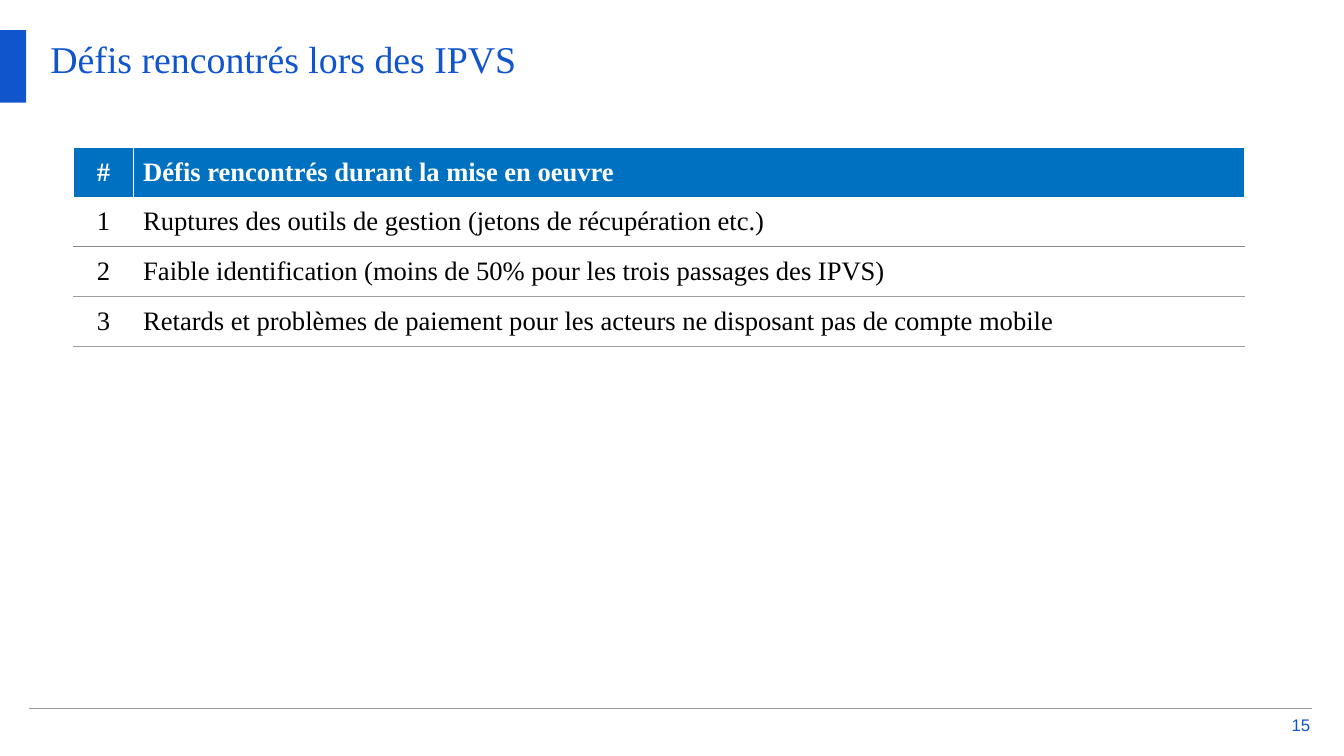
from dataclasses import dataclass

import pptx
import pptx.dml.color
import pptx.enum.shapes
import pptx.enum.text
import pptx.oxml
import pptx.oxml.ns
import pptx.util
from pptx.util import Cm, Pt

PP_ALIGN = pptx.enum.text.PP_ALIGN
ANCHOR = pptx.enum.text.MSO_ANCHOR


@dataclass(frozen=True)
class Theme:
    accent: str = "1155CC"
    header: str = "0070C0"
    white: str = "FFFFFF"
    black: str = "000000"
    rule: str = "9E9E9E"
    dark_rule: str = "888888"
    serif: str = "Times New Roman"
    sans: str = "Arial"
    title_size: int = 27
    table_size: int = 19
    number_size: int = 12


THEME = Theme()
CHALLENGES = [
    "Ruptures des outils de gestion (jetons de récupération etc.)",
    "Faible identification (moins de 50% pour les trois passages des IPVS)",
    "Retards et problèmes de paiement pour les acteurs ne disposant pas de compte mobile",
]


def rgb(value):
    return pptx.dml.color.RGBColor.from_string(value)


def set_text(tf, text, font, size, color, align=PP_ALIGN.LEFT, bold=False):
    p = tf.paragraphs[0]
    p.text = text
    p.alignment = align
    p.font.name = font
    p.font.size = Pt(size)
    p.font.bold = bold
    p.font.color.rgb = rgb(color)


def clear_margins(tf, anchor):
    tf.margin_left = tf.margin_top = tf.margin_right = tf.margin_bottom = 0
    tf.vertical_anchor = anchor
    tf.word_wrap = True


def set_borders(cell, top, bottom):
    """Give the cell white sides and the given top and bottom colours."""
    tc_pr = cell._tc.get_or_add_tcPr()
    sides = [("L", THEME.white), ("R", THEME.white), ("T", top), ("B", bottom)]
    for i, (side, color) in enumerate(sides):
        tc_pr.insert(i, pptx.oxml.parse_xml(
            f'<a:ln{side} {pptx.oxml.ns.nsdecls("a")} w="{Pt(0.75)}">'
            f'<a:solidFill><a:srgbClr val="{color}"/></a:solidFill></a:ln{side}>'))


def add_heading(s, x, y, w, h, text):
    """Place the accent bar at the box's left edge and the title beside it."""
    bar = s.shapes.add_shape(pptx.enum.shapes.MSO_SHAPE.RECTANGLE, x, y, Cm(0.66), h)
    bar.shadow.inherit = False
    bar.fill.solid()
    bar.fill.fore_color.rgb = rgb(THEME.accent)
    bar.line.fill.background()

    title = s.shapes.title
    indent = Cm(1.27)
    title.left, title.top = x + indent, y + Cm(0.13)
    title.width, title.height = w - indent, Cm(2.03)
    clear_margins(title.text_frame, ANCHOR.TOP)
    set_text(title.text_frame, text, THEME.serif, THEME.title_size, THEME.accent)


def add_challenge_table(s, x, y, w, row_h, challenges):
    rows = [("#", "Défis rencontrés durant la mise en oeuvre")]
    rows += [(str(n), text) for n, text in enumerate(challenges, 1)]
    edges = [THEME.white, THEME.white, THEME.dark_rule]
    edges += [THEME.rule] * (len(rows) - 2)

    table = s.shapes.add_table(len(rows), 2, x, y, w, row_h * len(rows)).table
    table.horz_banding = False
    number_w = Cm(1.5)
    table.columns[0].width, table.columns[1].width = number_w, w - number_w
    for i, row in enumerate(rows):
        is_header = i == 0
        for j, text in enumerate(row):
            cell = table.cell(i, j)
            cell.margin_left = cell.margin_right = Cm(0.25)
            cell.margin_top = cell.margin_bottom = Cm(0.25)
            if is_header:
                cell.fill.solid()
                cell.fill.fore_color.rgb = rgb(THEME.header)
            else:
                cell.fill.background()
            set_borders(cell, edges[i], edges[i + 1])
            set_text(cell.text_frame, text, THEME.serif, THEME.table_size,
                     THEME.white if is_header else THEME.black,
                     PP_ALIGN.LEFT if j else PP_ALIGN.CENTER, is_header)


def add_footer(s, x, y, w, number):
    line = s.shapes.add_connector(
        pptx.enum.shapes.MSO_CONNECTOR.STRAIGHT, x, y, x + w, y)
    line.line.color.rgb = rgb(THEME.rule)
    line.line.width = Pt(1)
    line._element.spPr.append(
        pptx.oxml.parse_xml(f'<a:effectLst {pptx.oxml.ns.nsdecls("a")}/>'))

    box_w = Cm(0.64)
    box = s.shapes.add_textbox(x + w - box_w - Cm(0.05), y + Cm(0.18), box_w, Cm(0.46))
    clear_margins(box.text_frame, ANCHOR.MIDDLE)
    set_text(box.text_frame, str(number), THEME.sans, THEME.number_size,
             THEME.accent, PP_ALIGN.RIGHT)


def main():
    prs = pptx.Presentation()
    prs.slide_width, prs.slide_height = Cm(33.87), Cm(19.05)
    s = prs.slides.add_slide(prs.slide_layouts[5])
    add_heading(s, 0, Cm(0.76), Cm(32.59), Cm(1.83), "Défis rencontrés lors des IPVS")
    add_challenge_table(s, Cm(1.86), Cm(3.72), Cm(29.5), Cm(1.25), CHALLENGES)
    add_footer(s, Cm(0.74), Cm(17.86), Cm(32.33), 15)
    prs.save("out.pptx")


if __name__ == "__main__":
    main()
